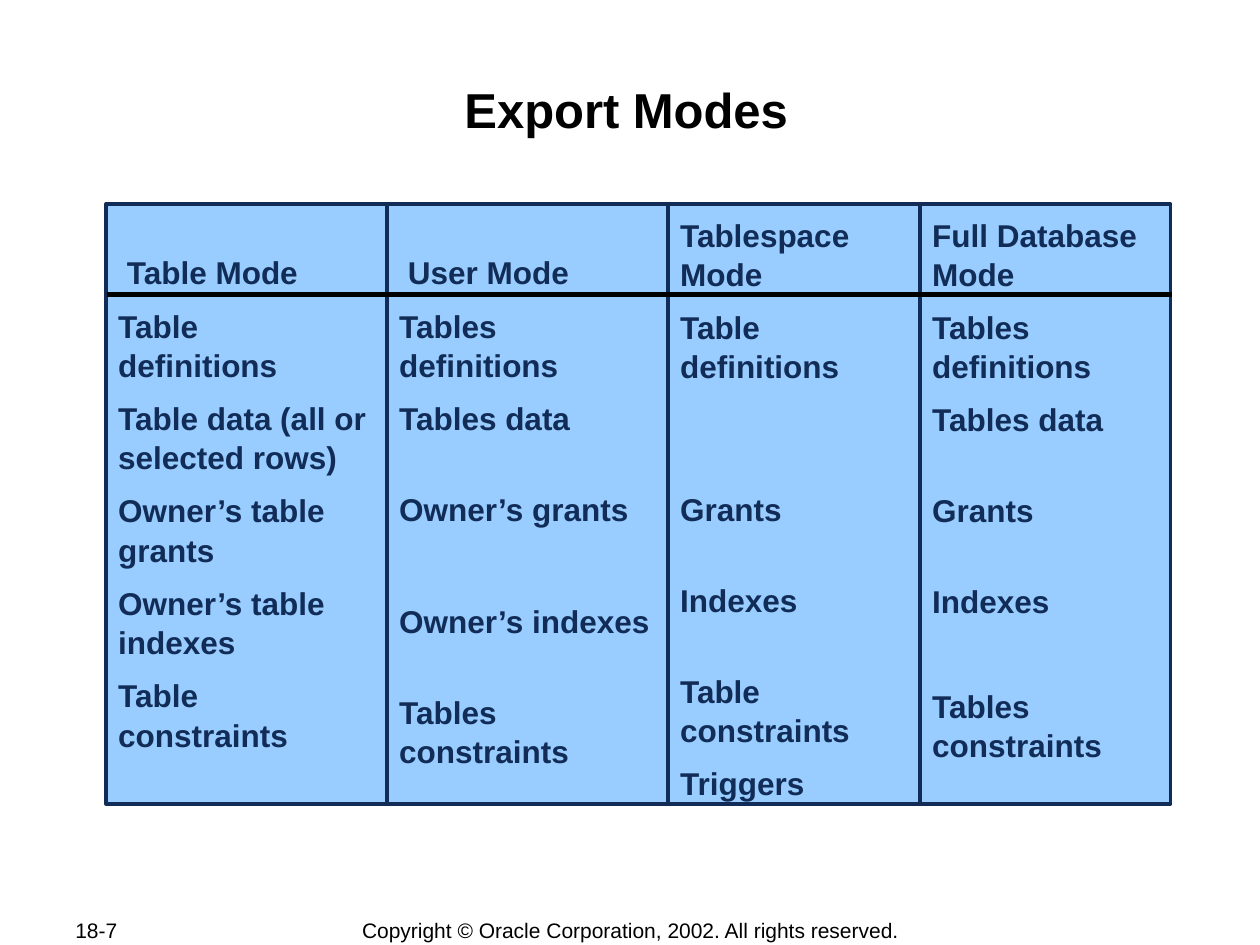
from lxml.etree import SubElement
from pptx import Presentation
from pptx.dml.color import RGBColor
from pptx.enum.shapes import MSO_CONNECTOR, MSO_SHAPE
from pptx.enum.text import MSO_ANCHOR, PP_ALIGN
from pptx.oxml.ns import qn
from pptx.util import Inches, Pt

BLACK = RGBColor(0x00, 0x00, 0x00)
NAVY = RGBColor(0x11, 0x2C, 0x56)
SKY = RGBColor(0x99, 0xCC, 0xFF)

LINE_PITCH = 1.04
GAP = 7.9
LINE_GAP = 29.4
HEADER_LINE = 0.3
COLUMN_TOP = 1.62
COLUMN_HEIGHT = 4.76

COLUMNS = [
    (2.23, HEADER_LINE, [
        (" Table Mode", 0),
        ("Table\vdefinitions", GAP),
        ("Table data (all or selected rows)", GAP),
        ("Owner’s table grants", GAP),
        ("Owner’s table indexes", GAP),
        ("Table constraints", GAP),
    ]),
    (2.23, HEADER_LINE, [
        (" User Mode", 0),
        ("Tables definitions", GAP),
        ("Tables data", GAP),
        ("Owner’s grants", LINE_GAP),
        ("Owner’s indexes", 41.6),
        ("Tables constraints", LINE_GAP),
    ]),
    (2, 0, [
        ("Tablespace Mode", 0),
        ("Table definitions", GAP),
        ("Grants", 59.1),
        ("Indexes", LINE_GAP),
        ("Table constraints", LINE_GAP),
        ("Triggers", GAP),
    ]),
    (1.99, 0, [
        ("Full Database Mode", 0),
        ("Tables definitions", GAP),
        ("Tables data", GAP),
        ("Grants", LINE_GAP),
        ("Indexes", LINE_GAP),
        ("Tables constraints", 37.6),
    ]),
]


class SlideBuilder:
    font_name = "Arial"

    def __init__(self, slide):
        self.slide = slide

    def style(self, paragraph, size, color, bold, align=PP_ALIGN.LEFT):
        paragraph.alignment = align
        paragraph.font.name = self.font_name
        paragraph.font.size = Pt(size)
        paragraph.font.bold = bold
        paragraph.font.color.rgb = color

    def text(self, left, top, width, height, content, size, bold=False,
             align=PP_ALIGN.LEFT, anchor=MSO_ANCHOR.MIDDLE, wrap=True):
        shape = self.slide.shapes.add_textbox(
            Inches(left), Inches(top), Inches(width), Inches(height))
        frame = shape.text_frame
        frame.word_wrap = wrap
        frame.vertical_anchor = anchor
        paragraph = frame.paragraphs[0]
        paragraph.text = content
        self.style(paragraph, size, BLACK, bold, align)

    def column(self, left, width, header_offset, entries):
        shape = self.slide.shapes.add_shape(
            MSO_SHAPE.RECTANGLE, Inches(left), Inches(COLUMN_TOP),
            Inches(width), Inches(COLUMN_HEIGHT))
        shape.shadow.inherit = False
        shape.fill.solid()
        shape.fill.fore_color.rgb = SKY
        shape.line.color.rgb = NAVY
        shape.line.width = Pt(2)
        frame = shape.text_frame
        frame.word_wrap = True
        frame.vertical_anchor = MSO_ANCHOR.TOP
        frame.margin_top = Inches(0.08 + header_offset)
        for index, (content, space_before) in enumerate(entries):
            paragraph = frame.add_paragraph() if index else frame.paragraphs[0]
            paragraph.text = content
            paragraph.line_spacing = LINE_PITCH
            paragraph.space_before = Pt(space_before)
            self.style(paragraph, 18, NAVY, True)

    def rule(self, left, right, top):
        connector = self.slide.shapes.add_connector(
            MSO_CONNECTOR.STRAIGHT, Inches(left), Inches(top),
            Inches(right), Inches(top))
        connector.line.color.rgb = BLACK
        connector.line.width = Pt(3)
        SubElement(connector._element.spPr, qn("a:effectLst"))


def main():
    presentation = Presentation()
    presentation.slide_width = Inches(10)
    presentation.slide_height = Inches(7.5)
    slide = presentation.slides.add_slide(presentation.slide_layouts[6])
    builder = SlideBuilder(slide)

    builder.text(0.97, 0.58, 8, 0.96, "Export Modes", 28, bold=True,
                 align=PP_ALIGN.CENTER, anchor=MSO_ANCHOR.TOP)
    left = 0.84
    for width, header_offset, entries in COLUMNS:
        builder.column(left, width, header_offset, entries)
        left += width
    builder.rule(0.85, 9.3, 2.34)
    builder.text(0.5, 7.28, 1.06, 0.2, "18-7", 12)
    builder.text(2.76, 7.28, 4.49, 0.21,
                 "Copyright © Oracle Corporation, 2002. All rights reserved.",
                 12, align=PP_ALIGN.CENTER, wrap=False)
    presentation.save("out.pptx")


if __name__ == "__main__":
    main()
